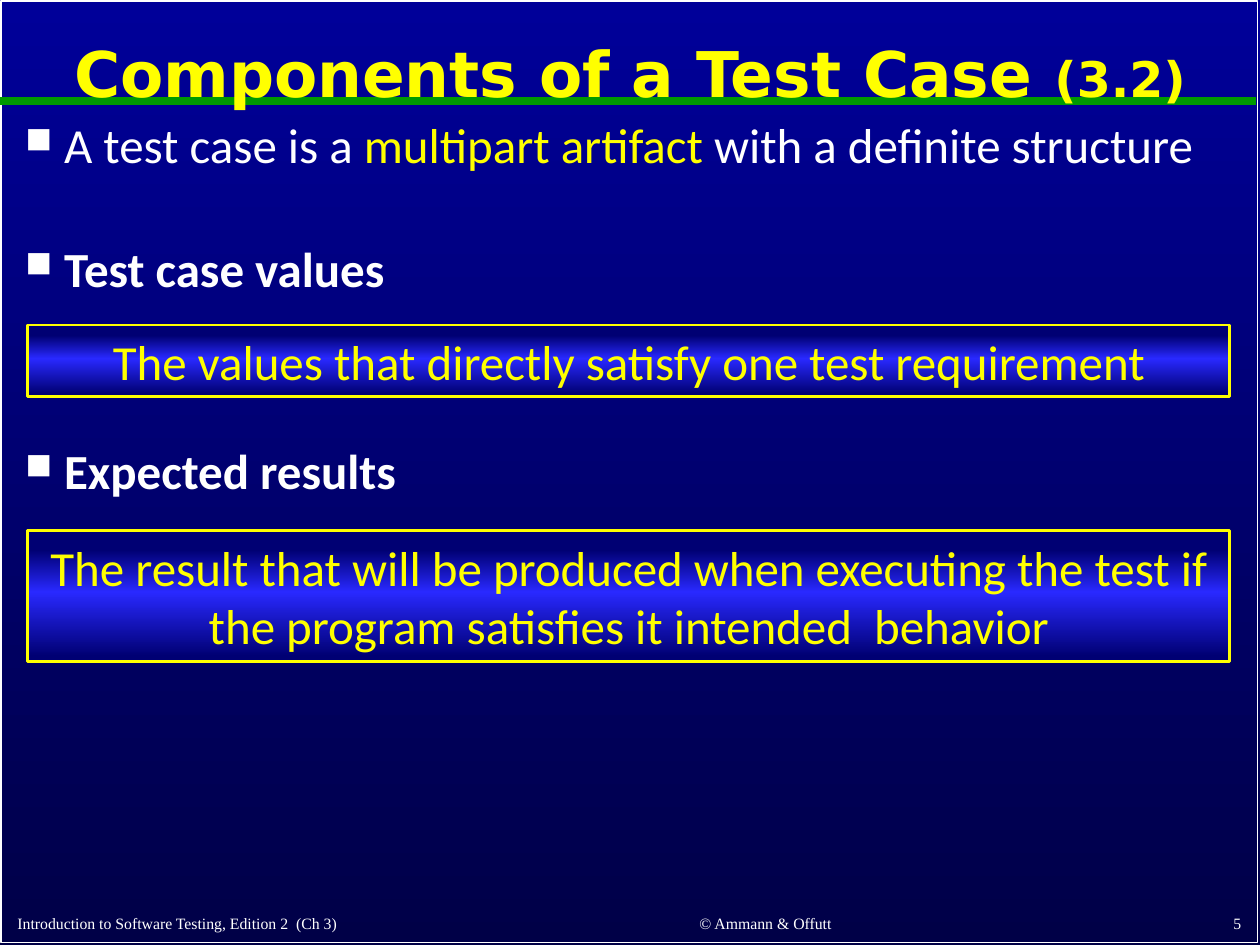
from copy import deepcopy

from pptx import Presentation, util as u
from pptx.dml.color import RGBColor
from pptx.enum import shapes, text
from pptx.oxml.ns import qn
from lxml import etree

WIDTH, HEIGHT = 10, 7.5
COLORS = {"white": "FFFFFF", "yellow": "FFFF00", "green": "009900",
          "sky": "000099", "night": "000047", "edge": "000073", "glow": "2929FF"}
LEFT, CENTER, RIGHT = text.PP_ALIGN.LEFT, text.PP_ALIGN.CENTER, text.PP_ALIGN.RIGHT


def color(name):
    """Return the named colour."""
    return RGBColor.from_string(COLORS[name])


def area(left, top, width, height):
    """Turn percentages of the slide's size into lengths."""
    return [u.Inches(share * side / 100) for share, side in
            zip((left, top, width, height), (WIDTH, HEIGHT) * 2)]


def shade(fill, owner, stops):
    """Fill the owner from top to bottom with (share, colour) stops."""
    fill.gradient()
    fill.gradient_angle = 270
    stop_list = owner.find(".//" + qn("a:gsLst"))
    while len(stop_list) < len(stops):
        stop_list.append(deepcopy(stop_list[-1]))
    for stop, (share, name) in zip(fill.gradient_stops, stops):
        stop.position = share
        stop.color.rgb = color(name)


def write(paragraph, parts, font, align=LEFT):
    """Add (wording, size, colour, bold) parts to a paragraph."""
    paragraph.alignment = align
    for wording, size, name, bold in parts:
        run = paragraph.add_run()
        run.text = wording
        run.font.name, run.font.size, run.font.bold = font, u.Pt(size), bold
        run.font.color.rgb = color(name)


def add_label(slide, place, anchor):
    """Add a wrapping text box and return its frame."""
    frame = slide.shapes.add_textbox(*area(*place)).text_frame
    frame.word_wrap = True
    frame.vertical_anchor = anchor
    return frame


def add_panel(slide, place, line, weight):
    """Add an outlined rectangle without fill."""
    panel = slide.shapes.add_shape(shapes.MSO_SHAPE.RECTANGLE, *area(*place))
    panel.shadow.inherit = False
    panel.fill.background()
    panel.line.color.rgb = color(line)
    panel.line.width = u.Pt(weight)
    return panel


def add_rule(slide, height):
    """Draw the green rule below the title."""
    left, top, right, _ = area(0, height, 99.7, 0)
    rule = slide.shapes.add_connector(shapes.MSO_CONNECTOR.STRAIGHT, left, top, right, top)
    rule.line.color.rgb = color("green")
    rule.line.width = u.Pt(4.5)
    etree.SubElement(rule._element.spPr, qn("a:effectLst"))


def add_bullets(slide, place, points):
    """Write (space before, parts) points with square bullets."""
    frame = add_label(slide, place, text.MSO_ANCHOR.TOP)
    for index, (gap, parts) in enumerate(points):
        point = frame.add_paragraph() if index else frame.paragraphs[0]
        point.line_spacing = 0.9
        point.space_before = u.Pt(gap)
        write(point, parts, "Calibri")
        layout = point._p.get_or_add_pPr()
        layout.set("marL", str(u.Inches(0.31)))
        layout.set("indent", str(-u.Inches(0.31)))
        etree.SubElement(layout, qn("a:buSzPct"), val="75000")
        etree.SubElement(layout, qn("a:buChar"), char="■")


def add_definition(slide, place, wording):
    """Add a glowing box that explains a component."""
    box = add_panel(slide, place, "yellow", 1.5)
    shade(box.fill, box._element.spPr, [(0.15, "edge"), (0.47, "glow"), (0.96, "edge")])
    box.text_frame.word_wrap = True
    write(box.text_frame.paragraphs[0], [(wording, 28, "yellow", False)], "Calibri", CENTER)


def main():
    """Build the slide on test case components."""
    deck = Presentation()
    deck.slide_width, deck.slide_height = u.Inches(WIDTH), u.Inches(HEIGHT)
    slide = deck.slides.add_slide(deck.slide_layouts[6])
    shade(slide.background.fill, slide._element, [(0, "sky"), (1, "night")])
    add_panel(slide, (0.1, 0.13, 99.7, 99.6), "white", 1)
    add_rule(slide, 10.67)

    title = add_label(slide, (0.5, 1.47, 99, 13.33), text.MSO_ANCHOR.MIDDLE).paragraphs[0]
    title.line_spacing = 0.9
    write(title, [("Components of a Test Case ", 36, "yellow", True),
                  ("(3.2)", 28, "yellow", True)], "DejaVu Sans", CENTER)

    add_bullets(slide, (1, 12.13, 98.1, 83.6), [
        (0, [("A test case is a ", 28, "white", False),
             ("multipart artifact", 28, "yellow", False),
             (" with a definite structure", 28, "white", False)]),
        (41, [("Test case values", 28, "white", True)]),
        (85, [("Expected results", 28, "white", True)])])

    for left, width, align, wording in [
            (0.4, 42, LEFT, "Introduction to Software Testing, Edition 2  (Ch 3)"),
            (44.9, 31.7, CENTER, "© Ammann & Offutt"),
            (78.7, 20.8, RIGHT, "5")]:
        footer = add_label(slide, (left, 95.6, width, 3.73), text.MSO_ANCHOR.BOTTOM)
        write(footer.paragraphs[0], [(wording, 9, "white", False)], "Times New Roman", align)

    for top, height, wording in [
            (56.13, 13.87, "The result that will be produced when executing the test if "
                           "the program satisfies it intended  behavior"),
            (34.4, 7.6, "The values that directly satisfy one test requirement")]:
        add_definition(slide, (2.2, top, 95.4, height), wording)
    deck.save("out.pptx")


if __name__ == "__main__":
    main()
